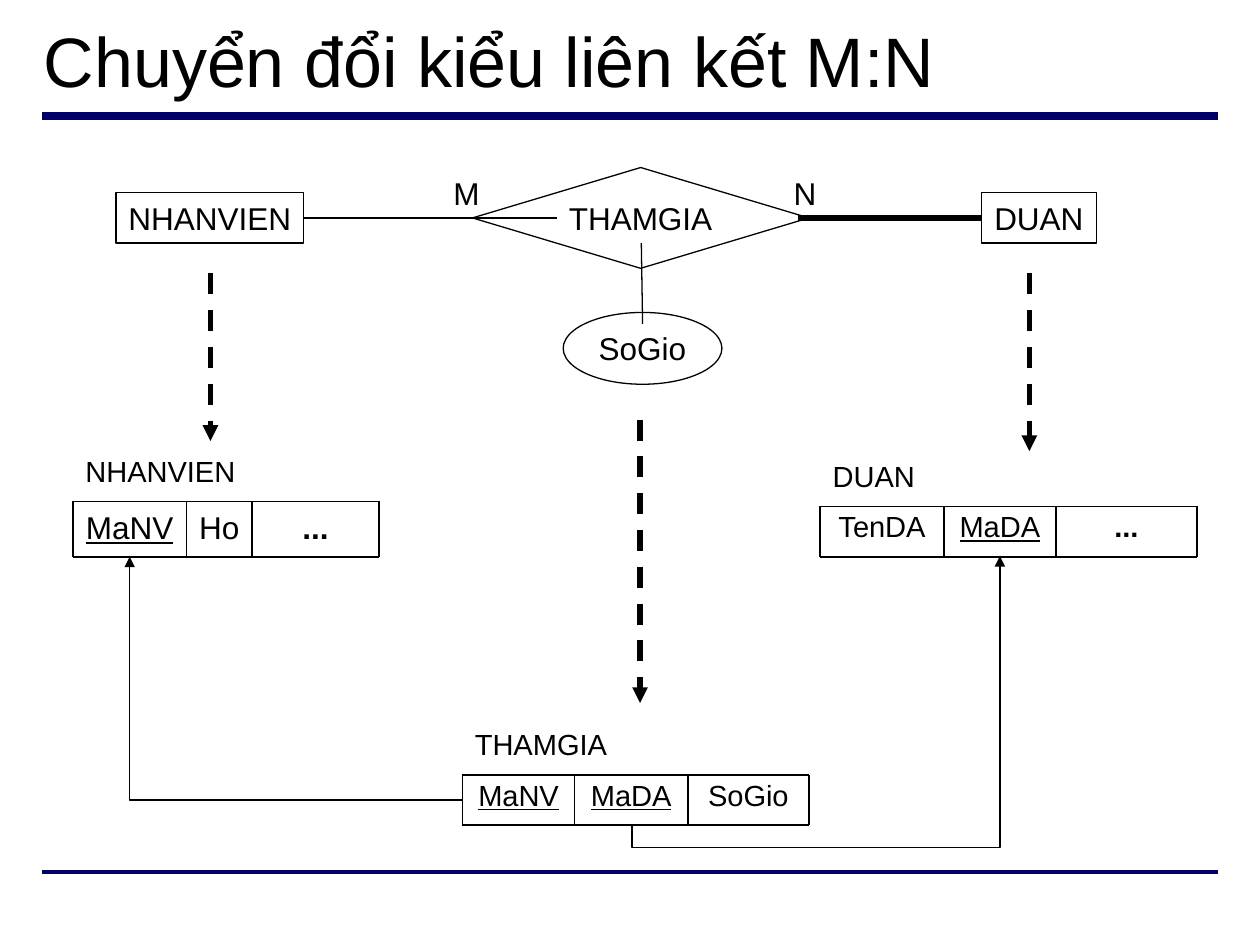
from itertools import accumulate

from lxml.etree import SubElement
from pptx import Presentation
from pptx.dml.color import RGBColor
from pptx.enum.dml import MSO_LINE
from pptx.enum.shapes import MSO_CONNECTOR, MSO_SHAPE
from pptx.enum.text import MSO_ANCHOR, PP_ALIGN
from pptx.oxml.ns import qn
from pptx.util import Inches, Pt

BLACK = RGBColor(0x00, 0x00, 0x00)
WHITE = RGBColor(0xFF, 0xFF, 0xFF)
NAVY = RGBColor(0x00, 0x00, 0x66)
FONT = "Arial"

# Content
TITLE = "Chuyển đổi kiểu liên kết M:N"
RULES = [(0.92, 4.5), (6.92, 2.25)]  # y, line width
NODES = {  # name: preset, left, top, width, height, fill
    "NHANVIEN": (MSO_SHAPE.RECTANGLE, 0.92, 1.53, 1.49, 0.4, None),
    "DUAN": (MSO_SHAPE.RECTANGLE, 7.79, 1.53, 0.91, 0.4, None),
    "THAMGIA": (MSO_SHAPE.DIAMOND, 3.75, 1.33, 2.67, 0.8, None),
    "SoGio": (MSO_SHAPE.OVAL, 4.47, 2.48, 1.26, 0.57, WHITE),
}
CARDINALITIES = [("M", 3.5, 0.41), ("N", 6.2, 0.38)]  # text, left, width
RELATIONS = [  # cells: text, width, style
    {"name": "NHANVIEN", "left": 0.58, "top": 3.98, "height": 0.44, "size": 18, "spacing": 1,
     "cells": [("MaNV", 0.9, "key"), ("Ho", 0.52, ""), ("...", 1.01, "bold")]},
    {"name": "DUAN", "left": 6.51, "top": 4.02, "height": 0.4, "size": 16.6, "spacing": 0.9,
     "cells": [("TenDA", 0.98, ""), ("MaDA", 0.89, "key"), ("...", 1.12, "bold")]},
    {"name": "THAMGIA", "left": 3.67, "top": 6.15, "height": 0.4, "size": 16.6, "spacing": 0.9,
     "cells": [("MaNV", 0.89, "key"), ("MaDA", 0.9, "key"), ("SoGio", 0.96, "")]},
]
MAPPING_ARROWS = [(1.67, 2.17, 3.5), (8.17, 2.17, 3.58), (5.08, 3.33, 5.58)]  # x, top, bottom

presentation = Presentation()
presentation.slide_width, presentation.slide_height = Inches(10), Inches(7.5)
slide = presentation.slides.add_slide(presentation.slide_layouts[6])


def write(shape, text, size, align=PP_ALIGN.LEFT, anchor=MSO_ANCHOR.TOP, wrap=True,
          spacing=1, style=""):
    frame = shape.text_frame
    frame.text = text
    frame.word_wrap = wrap
    frame.vertical_anchor = anchor
    paragraph = frame.paragraphs[0]
    paragraph.alignment = align
    paragraph.line_spacing = spacing
    font = paragraph.runs[0].font
    font.name, font.size = FONT, Pt(size)
    font.color.rgb = BLACK
    font.bold = style == "bold"
    font.underline = style == "key"


def add_text(text, left, top, width, height, size, **options):
    box = slide.shapes.add_textbox(*map(Inches, (left, top, width, height)))
    write(box, text, size, **options)


def add_line(start, end, width=0.75, color=BLACK, kind=MSO_CONNECTOR.STRAIGHT,
             dashed=False, arrow=False):
    line = slide.shapes.add_connector(kind, *map(Inches, (*start, *end)))
    line.line.color.rgb = color
    line.line.width = Pt(width)
    if dashed:
        line.line.dash_style = MSO_LINE.DASH
    properties = line._element.spPr
    if arrow:
        SubElement(properties.find(qn("a:ln")), qn("a:tailEnd"), type="triangle")
    SubElement(properties, qn("a:effectLst"))
    return line


def add_node(name):
    preset, left, top, width, height, fill = NODES[name]
    node = slide.shapes.add_shape(preset, *map(Inches, (left, top, width, height)))
    node.shadow.inherit = False
    if fill is None:
        node.fill.background()
    else:
        node.fill.solid()
        node.fill.fore_color.rgb = fill
    node.line.color.rgb = BLACK
    node.line.width = Pt(0.75)
    write(node, name, 18, PP_ALIGN.CENTER, MSO_ANCHOR.MIDDLE, wrap=False)
    return node


def add_relation(name, left, top, height, size, spacing, cells):
    edges = list(accumulate((width for _, width, _ in cells), initial=left))
    bottom = top + height
    add_text(name, left, top - 0.4, edges[-1] - left, 0.4, 16.6, spacing=0.9)
    for (text, width, style), x in zip(cells, edges):
        add_text(text, x, top, width, height, size, align=PP_ALIGN.CENTER,
                 spacing=spacing, style=style)
    for y in (top, bottom):
        add_line((left, y), (edges[-1], y), 1)
    for x in edges:
        add_line((x, top), (x, bottom), 1)


# Title and rules
for y, width in RULES:
    add_line((0.33, y), (9.67, y), width, NAVY)
add_text(TITLE, 0.25, 0.09, 9.5, 0.77, 40, anchor=MSO_ANCHOR.MIDDLE)

# Entity-relationship diagram
nodes = {name: add_node(name) for name in NODES}
add_line((2.41, 1.73), (4.42, 1.73)).begin_connect(nodes["NHANVIEN"], 3)
add_line((6.33, 1.73), (7.79, 1.73), 3).end_connect(nodes["DUAN"], 1)
add_line((5.09, 1.93), (5.1, 2.57))
for text, left, width in CARDINALITIES:
    add_text(text, left, 1.33, width, 0.4, 18, wrap=False)

# Relations and the arrows that lead to them
for relation in RELATIONS:
    add_relation(**relation)
for x, top, bottom in MAPPING_ARROWS:
    add_line((x, top), (x, bottom), 3, dashed=True, arrow=True)

# Foreign key from MaNV: one bend
employee_key = add_line((3.67, 6.35), (1.03, 4.42), kind=MSO_CONNECTOR.ELBOW, arrow=True)
employee_key._element.spPr.find(qn("a:prstGeom")).set("prst", "bentConnector2")

# Foreign key from MaDA: a quarter turn, with its middle run below the start
project_key = add_line((7.54, 6.94), (5.41, 4.02), kind=MSO_CONNECTOR.ELBOW, arrow=True)
properties = project_key._element.spPr
properties.find(qn("a:xfrm")).set("rot", "5400000")
adjustments = properties.find(qn("a:prstGeom")).find(qn("a:avLst"))
SubElement(adjustments, qn("a:gd"), name="adj1", fmla="val -8600")

presentation.save("out.pptx")
